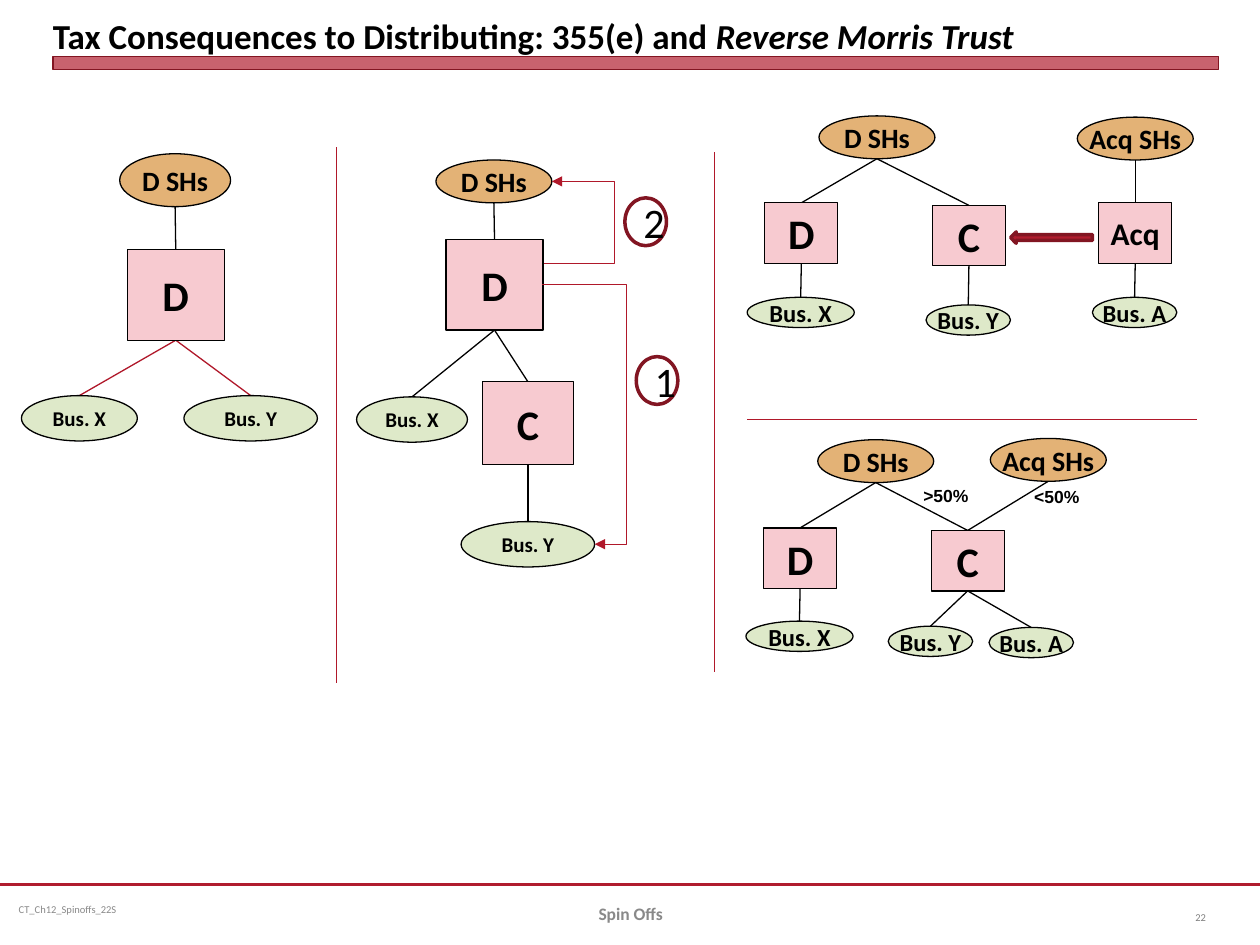
"""Build the slide on spin-off tax consequences and the Reverse Morris Trust."""
from dataclasses import dataclass

from lxml import etree
from pptx import Presentation
from pptx.dml.color import RGBColor
from pptx.enum.shapes import MSO_CONNECTOR, MSO_SHAPE
from pptx.enum.text import MSO_ANCHOR, PP_ALIGN
from pptx.oxml.ns import qn
from pptx.util import Inches, Pt

STRAIGHT, ELBOW = MSO_CONNECTOR.STRAIGHT, MSO_CONNECTOR.ELBOW
RECT, OVAL, LEFT_ARROW = MSO_SHAPE.RECTANGLE, MSO_SHAPE.OVAL, MSO_SHAPE.LEFT_ARROW
TOP, MIDDLE, BOTTOM = MSO_ANCHOR.TOP, MSO_ANCHOR.MIDDLE, MSO_ANCHOR.BOTTOM
LEFT, CENTER, RIGHT = PP_ALIGN.LEFT, PP_ALIGN.CENTER, PP_ALIGN.RIGHT
BLACK, RED, CRIMSON, MAROON = "000000", "B0182A", "B01C2E", "821522"
STYLES = {
    "holder": (OVAL, "E3B276"),
    "corp": (RECT, "F7CAD0"),
    "bus": (OVAL, "DEE9C9"),
}


@dataclass(frozen=True)
class Node:
    """An entity in an ownership chart, measured in inches."""
    kind: str
    text: str
    left: float
    top: float
    width: float
    height: float
    size: float

    @property
    def head(self) -> tuple[float, float]:
        """Return the top centre."""
        return self.left + self.width / 2, self.top

    @property
    def foot(self) -> tuple[float, float]:
        """Return the bottom centre."""
        return self.left + self.width / 2, self.top + self.height


@dataclass(frozen=True)
class Panel:
    """One chart: its nodes by key, and its links as 'parent child' pairs."""
    nodes: dict[str, Node]
    links: tuple[str, ...]
    link_color: dict[str, str]


def holder(text: str, left: float, top: float, width=0.92, height=0.34) -> Node:
    """Return a shareholder group."""
    return Node("holder", text, left, top, width, height, 16)


def corp(text: str, left: float, top: float, width=0.58, height=0.48, size=24) -> Node:
    """Return a corporation."""
    return Node("corp", text, left, top, width, height, size)


def bus(text: str, left: float, top: float, width=0.67, height=0.24, size=14) -> Node:
    """Return a business."""
    return Node("bus", "Bus. " + text, left, top, width, height, size)


PANELS = (
    Panel({"S": holder("D SHs", 0.95, 1.22, 0.88, 0.42),
           "D": corp("D", 1.01, 1.98, 0.77, 0.72),
           "X": bus("X", 0.17, 3.14, 0.92, 0.36, 12),
           "Y": bus("Y", 1.46, 3.14, 1.06, 0.36, 12)},
          ("SD", "DX", "DY"), {"DX": RED, "DY": RED}),
    Panel({"S": holder("D SHs", 3.46, 1.27),
           "D": corp("D", 3.54, 1.9, 0.77, 0.72),
           "X": bus("X", 2.83, 3.15, 0.88, 0.36, 12),
           "C": corp("C", 3.83, 3.03, 0.72, 0.66),
           "Y": bus("Y", 3.66, 4.14, 1.06, 0.36, 12)},
          ("SD", "DX", "DC", "CY"), {}),
    Panel({"S": holder("D SHs", 6.5, 0.92),
           "H": holder("Acq SHs", 8.55, 0.93),
           "D": corp("D", 6.07, 1.61),
           "C": corp("C", 7.4, 1.63),
           "Q": corp("Acq", 8.72, 1.61, size=18),
           "X": bus("X", 5.93, 2.36, 0.85),
           "Y": bus("Y", 7.35, 2.42),
           "A": bus("A", 8.67, 2.36)},
          ("SD", "SC", "HQ", "DX", "CY", "QA"), {}),
    Panel({"S": holder("D SHs", 6.49, 3.49),
           "H": holder("Acq SHs", 7.86, 3.48),
           "D": corp("D", 6.06, 4.19),
           "C": corp("C", 7.39, 4.21),
           "X": bus("X", 5.92, 4.93, 0.85),
           "Y": bus("Y", 7.05, 4.97),
           "A": bus("A", 7.85, 4.98)},
          ("SD", "SC", "HC", "DX", "CY", "CA"), {}),
)


def rgb(color: str) -> RGBColor:
    """Return a colour from its hex string."""
    return RGBColor.from_string(color)


def write(tf, text: str, *, size: float, color=BLACK, font="Calibri", bold=False,
          italic=False, align=LEFT, anchor=MIDDLE, wrap=True) -> None:
    """Add a formatted run to the first paragraph of a text frame."""
    tf.word_wrap, tf.vertical_anchor = wrap, anchor
    p = tf.paragraphs[0]
    p.alignment = align
    r = p.add_run()
    r.text = text
    r.font.name, r.font.size = font, Pt(size)
    r.font.bold, r.font.italic = bold, italic
    r.font.color.rgb = rgb(color)


def add_box(s, preset, left: float, top: float, width: float, height: float,
            fill: str | None, line: str, weight: float):
    """Add a flat preset shape."""
    sp = s.shapes.add_shape(preset, Inches(left), Inches(top), Inches(width), Inches(height))
    sp.shadow.inherit = False
    if fill:
        sp.fill.solid()
        sp.fill.fore_color.rgb = rgb(fill)
    else:
        sp.fill.background()
    sp.line.color.rgb = rgb(line)
    sp.line.width = Pt(weight)
    return sp


def add_label(s, text: str, left: float, top: float, width: float, height: float, **fmt):
    """Add a text box."""
    sp = s.shapes.add_textbox(Inches(left), Inches(top), Inches(width), Inches(height))
    write(sp.text_frame, text, **fmt)


def add_line(s, start: tuple[float, float], end: tuple[float, float],
             color=BLACK, weight=0.75, kind=STRAIGHT):
    """Add a connector without a shadow."""
    cxn = s.shapes.add_connector(kind, *(Inches(v) for v in (*start, *end)))
    cxn.line.color.rgb = rgb(color)
    cxn.line.width = Pt(weight)
    etree.SubElement(cxn._element.spPr, qn("a:effectLst"))
    return cxn


def add_step(s, start: tuple[float, float], end: tuple[float, float], via_x: float) -> None:
    """Add an elbow arrow that turns at the given horizontal position."""
    cxn = add_line(s, start, end, RED, kind=ELBOW)
    ratio = (via_x - start[0]) / (end[0] - start[0])
    guides = cxn._element.spPr.find(qn("a:prstGeom")).find(qn("a:avLst"))
    etree.SubElement(guides, qn("a:gd"), name="adj1", fmla=f"val {round(ratio * 100000)}")
    etree.SubElement(cxn.line._get_or_add_ln(), qn("a:tailEnd"), type="triangle")


def add_panel(s, panel: Panel) -> None:
    """Draw the links and nodes of one chart."""
    for link in panel.links:
        parent, child = (panel.nodes[key] for key in link)
        add_line(s, parent.foot, child.head, panel.link_color.get(link, BLACK))
    for n in panel.nodes.values():
        preset, fill = STYLES[n.kind]
        sp = add_box(s, preset, n.left, n.top, n.width, n.height, fill, BLACK, 0.75)
        write(sp.text_frame, n.text, size=n.size, bold=True, align=CENTER, wrap=False)


def add_frame(s) -> None:
    """Draw the title, its bar and the footer."""
    bar = add_box(s, RECT, 0.42, 0.45, 9.25, 0.1, CRIMSON, MAROON, 0)
    clr = bar._element.spPr.find(qn("a:solidFill"))[0]
    etree.SubElement(clr, qn("a:alpha"), val="69000")
    title = s.shapes.title
    title.left, title.top, title.width, title.height = map(Inches, (0.42, 0.05, 9.25, 0.4))
    tf = title.text_frame
    tf.margin_left = tf.margin_top = tf.margin_right = tf.margin_bottom = 0
    fmt = dict(size=20, bold=True, anchor=BOTTOM)
    write(tf, "Tax Consequences to Distributing: 355(e) and ", **fmt)
    write(tf, "Reverse Morris Trust", italic=True, **fmt)
    add_line(s, (0, 7.02), (10, 7.02), CRIMSON, 1.25)
    add_label(s, "CT_Ch12_Spinoffs_22S", 0.05, 7.02, 2.58, 0.4, size=6, color="898989")
    add_label(s, "Spin Offs", 3.42, 7.05, 3.17, 0.4, size=10, color="898989",
              bold=True, align=CENTER)
    add_label(s, "22", 9.17, 7.08, 0.5, 0.4, size=6, color="808080", align=RIGHT)


def main() -> None:
    """Build and save the slide."""
    prs = Presentation()
    prs.slide_width, prs.slide_height = Inches(10), Inches(7.5)
    s = prs.slides.add_slide(prs.slide_layouts[5])
    add_frame(s)
    for panel in PANELS:
        add_panel(s, panel)
    for start, end in (((2.67, 1.17), (2.67, 5.42)), ((5.67, 1.21), (5.67, 5.33)),
                       ((5.93, 3.33), (9.5, 3.33))):
        add_line(s, start, end, RED)
    add_step(s, (4.3, 2.26), (4.72, 4.32), 4.97)
    add_step(s, (4.32, 2.09), (4.38, 1.44), 4.88)
    for number, left, top in (("1", 5.05, 2.83), ("2", 4.96, 1.57)):
        sp = add_box(s, OVAL, left, top, 0.33, 0.38, None, MAROON, 2)
        write(sp.text_frame, number, size=24, align=CENTER)
    add_box(s, LEFT_ARROW, 8.02, 1.84, 0.65, 0.09, CRIMSON, MAROON, 2)
    for text, left, top in (("<50%", 8.11, 3.81), (">50%", 7.23, 3.8)):
        add_label(s, text, left, top, 0.56, 0.27, size=10, font="Arial", bold=True,
                  anchor=TOP, wrap=False)
    prs.save("out.pptx")


main()
